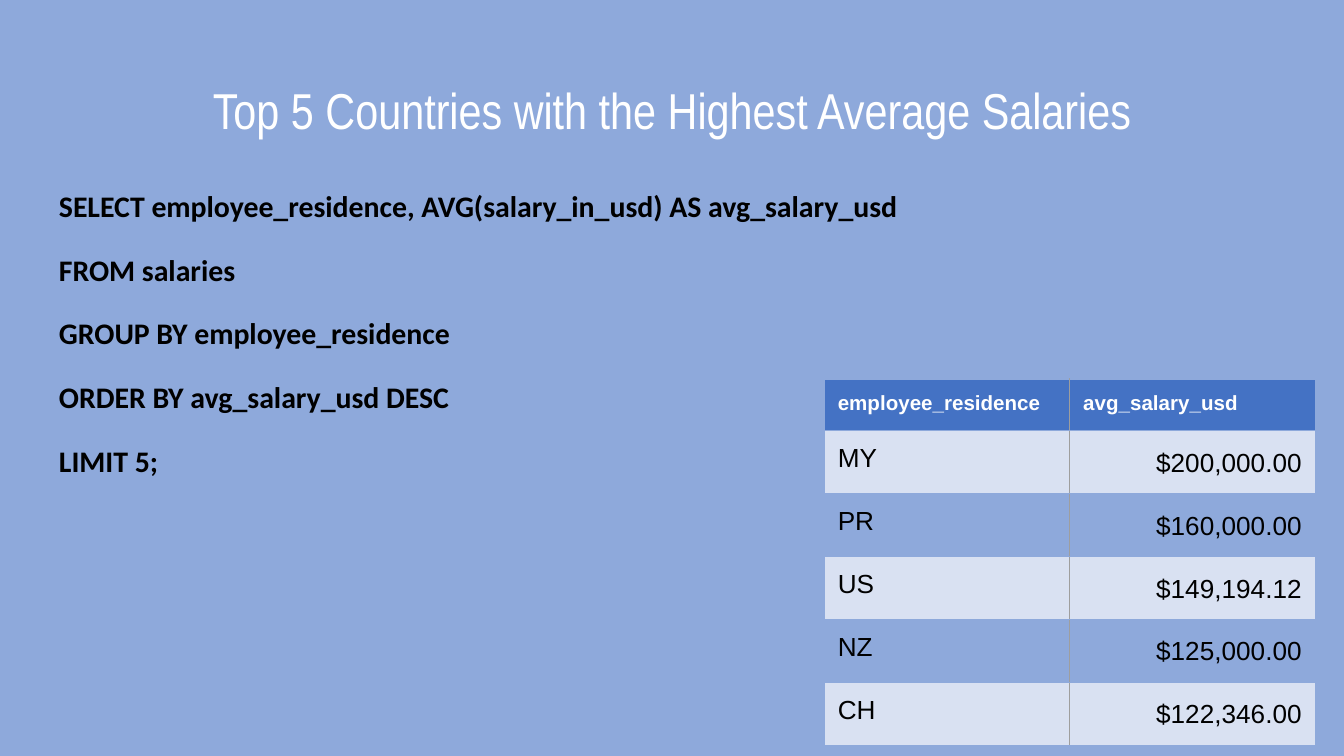
import dataclasses
import typing

import lxml.etree
import pptx
import pptx.dml.color
import pptx.enum.text
import pptx.oxml.ns
import pptx.util

Pt = pptx.util.Pt
ALIGN = pptx.enum.text.PP_ALIGN
COLORS = {
    "background": "8EA9DB",
    "header": "4472C4",
    "band": "D9E1F2",
    "divider": "9E9E9E",
    "light": "FFFFFF",
    "dark": "000000",
}
INSET = 7.2
ROW_HEIGHT = 21
COLUMN_WIDTH = 131.5

QUERY = [
    "SELECT employee_residence, AVG(salary_in_usd) AS avg_salary_usd",
    "FROM salaries",
    "GROUP BY employee_residence",
    "ORDER BY avg_salary_usd DESC",
    "LIMIT 5;",
]
SALARIES = [
    ("employee_residence", "avg_salary_usd"),
    ("MY", "$200,000.00"),
    ("PR", "$160,000.00"),
    ("US", "$149,194.12"),
    ("NZ", "$125,000.00"),
    ("CH", "$122,346.00"),
]


@dataclasses.dataclass(frozen=True)
class TextStyle:
    font: str
    size: float
    color: str
    bold: bool = False
    align: typing.Any = ALIGN.LEFT
    line_spacing: float = 1.0
    gap: float = 0


@dataclasses.dataclass(frozen=True)
class TextBlock:
    left: float
    top: float
    width: float
    height: float
    lines: list[str]
    style: TextStyle


TITLE_STYLE = TextStyle("Arial Narrow", 27, "light", align=ALIGN.CENTER)
QUERY_STYLE = TextStyle("Calibri", 16, "dark", bold=True, line_spacing=1.15, gap=12)
HEADER_STYLE = TextStyle("Arial", 11, "light", bold=True)
COUNTRY_STYLE = TextStyle("Arial", 14, "dark")
AMOUNT_STYLE = dataclasses.replace(COUNTRY_STYLE, align=ALIGN.RIGHT, line_spacing=1.15)

BLOCKS = [
    TextBlock(24.5, 35.3, 671, 45.4,
              ["Top 5 Countries with the Highest Average Salaries"], TITLE_STYLE),
    TextBlock(24.5, 90.7, 517, 165.6, QUERY, QUERY_STYLE),
]


def rgb(name: str) -> pptx.dml.color.RGBColor:
    return pptx.dml.color.RGBColor.from_string(COLORS[name])


def set_attributes(target: typing.Any, values: dict[str, typing.Any]) -> None:
    for name, value in values.items():
        setattr(target, name, value)


def write_lines(frame: typing.Any, lines: list[str], style: TextStyle) -> None:
    for index, line in enumerate(lines):
        para = frame.add_paragraph() if index else frame.paragraphs[0]
        set_attributes(para, {
            "alignment": style.align,
            "line_spacing": style.line_spacing,
            "space_before": Pt(style.gap if index else 0),
        })
        span = para.add_run()
        span.text = line
        set_attributes(span.font, {
            "name": style.font, "size": Pt(style.size), "bold": style.bold,
        })
        span.font.color.rgb = rgb(style.color)


def draw_text(page: typing.Any, block: TextBlock) -> None:
    box = page.shapes.add_textbox(
        Pt(block.left), Pt(block.top), Pt(block.width), Pt(block.height))
    set_attributes(box.text_frame, {
        "word_wrap": True,
        "margin_left": Pt(INSET), "margin_right": Pt(INSET),
        "margin_top": Pt(INSET), "margin_bottom": Pt(INSET),
    })
    write_lines(box.text_frame, block.lines, block.style)


def add_borders(cell: typing.Any, edges: dict[str, str]) -> None:
    qn = pptx.oxml.ns.qn
    properties = cell._tc.get_or_add_tcPr()
    for edge, color in edges.items():
        line = lxml.etree.SubElement(properties, qn(f"a:{edge}"), w=str(Pt(0.75)))
        fill = lxml.etree.SubElement(line, qn("a:solidFill"))
        lxml.etree.SubElement(fill, qn("a:srgbClr"), val=COLORS[color])


def draw_cell(cell: typing.Any, text: str, row: int, column: int) -> None:
    set_attributes(cell, {
        "margin_left": Pt(INSET), "margin_right": Pt(INSET),
        "margin_top": Pt(INSET), "margin_bottom": Pt(INSET),
    })
    add_borders(cell, {
        "lnL": "divider" if column else "background",
        "lnR": "background" if column else "divider",
        "lnT": "background",
        "lnB": "background",
    })
    # Odd body rows are banded, even ones show the page
    if row == 0 or row % 2:
        cell.fill.solid()
        cell.fill.fore_color.rgb = rgb("band" if row else "header")
    else:
        cell.fill.background()
    body_style = AMOUNT_STYLE if column else COUNTRY_STYLE
    write_lines(cell.text_frame, [text], body_style if row else HEADER_STYLE)


def draw_table(page: typing.Any, left: float, top: float,
               records: list[tuple[str, str]]) -> None:
    columns = len(records[0])
    table = page.shapes.add_table(
        len(records), columns, Pt(left), Pt(top),
        Pt(COLUMN_WIDTH * columns), Pt(ROW_HEIGHT * len(records))).table
    set_attributes(table, {"first_row": False, "horz_banding": False})
    for column in table.columns:
        column.width = Pt(COLUMN_WIDTH)
    for row, record in enumerate(records):
        for column, text in enumerate(record):
            draw_cell(table.cell(row, column), text, row, column)


def main() -> None:
    deck = pptx.Presentation()
    set_attributes(deck, {"slide_width": Pt(720), "slide_height": Pt(405)})
    page = deck.slides.add_slide(deck.slide_layouts[6])
    page.background.fill.solid()
    page.background.fill.fore_color.rgb = rgb("background")

    # Title and query
    for block in BLOCKS:
        draw_text(page, block)

    # Query result
    draw_table(page, 441.6, 203, SALARIES)
    deck.save("out.pptx")


if __name__ == "__main__":
    main()
